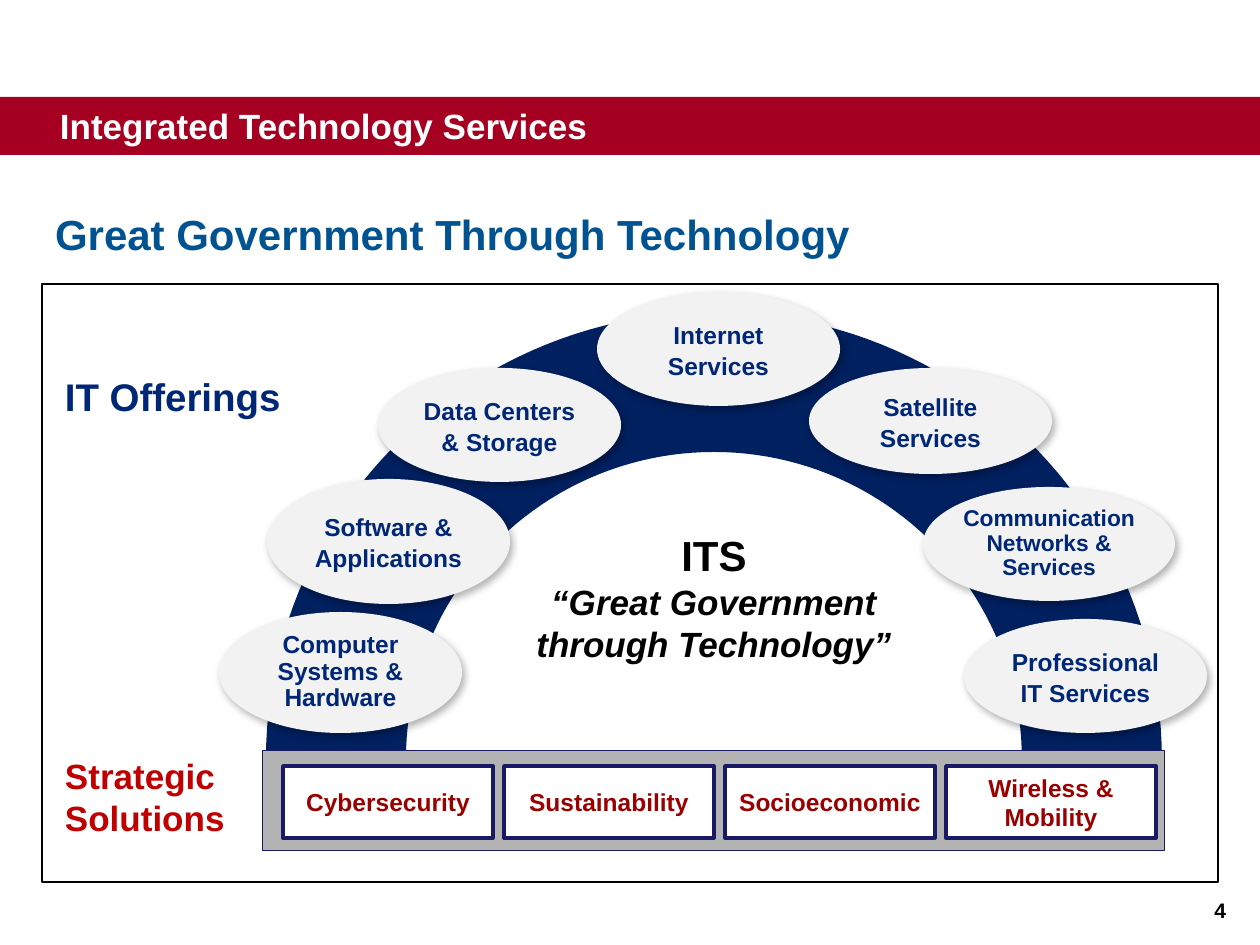
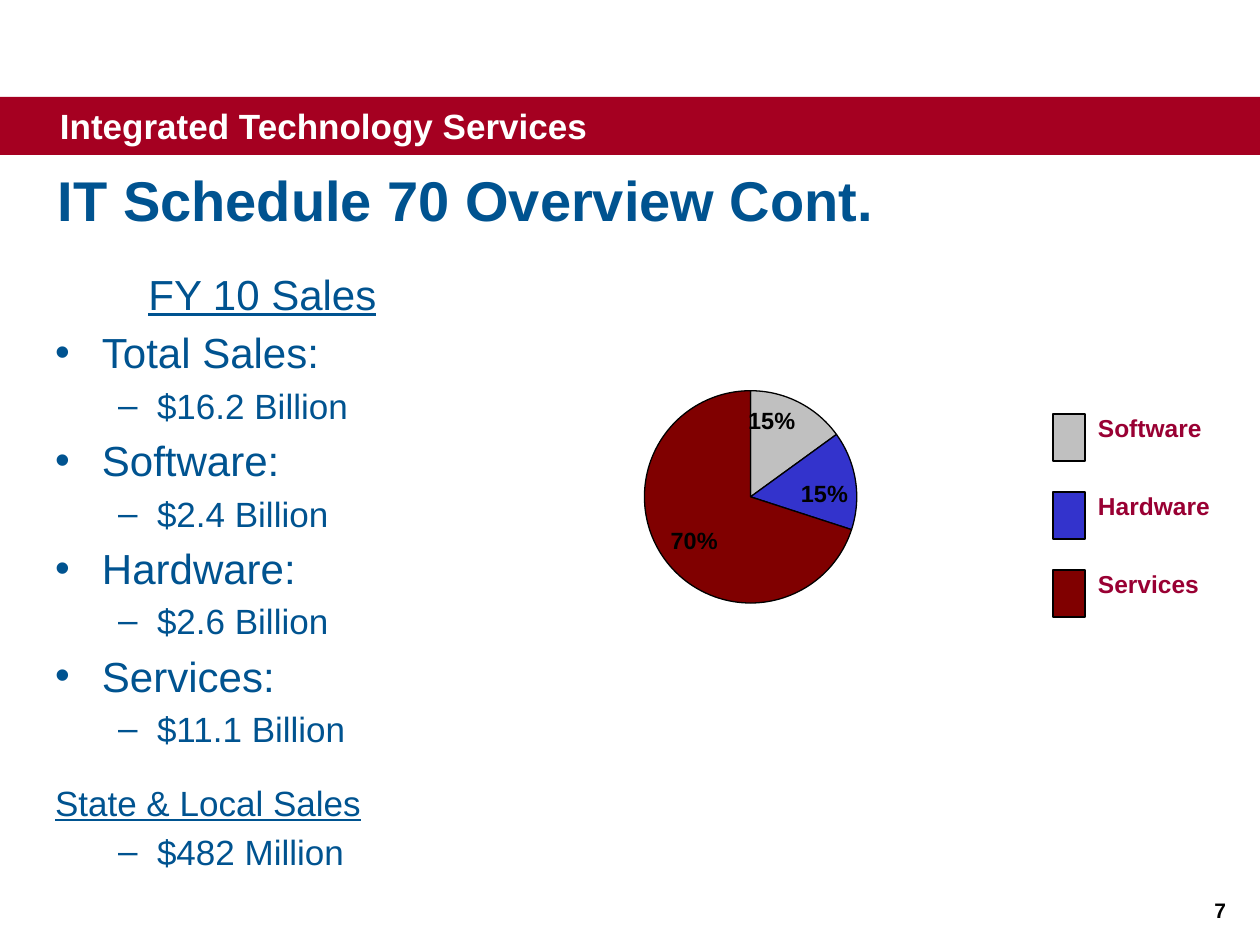
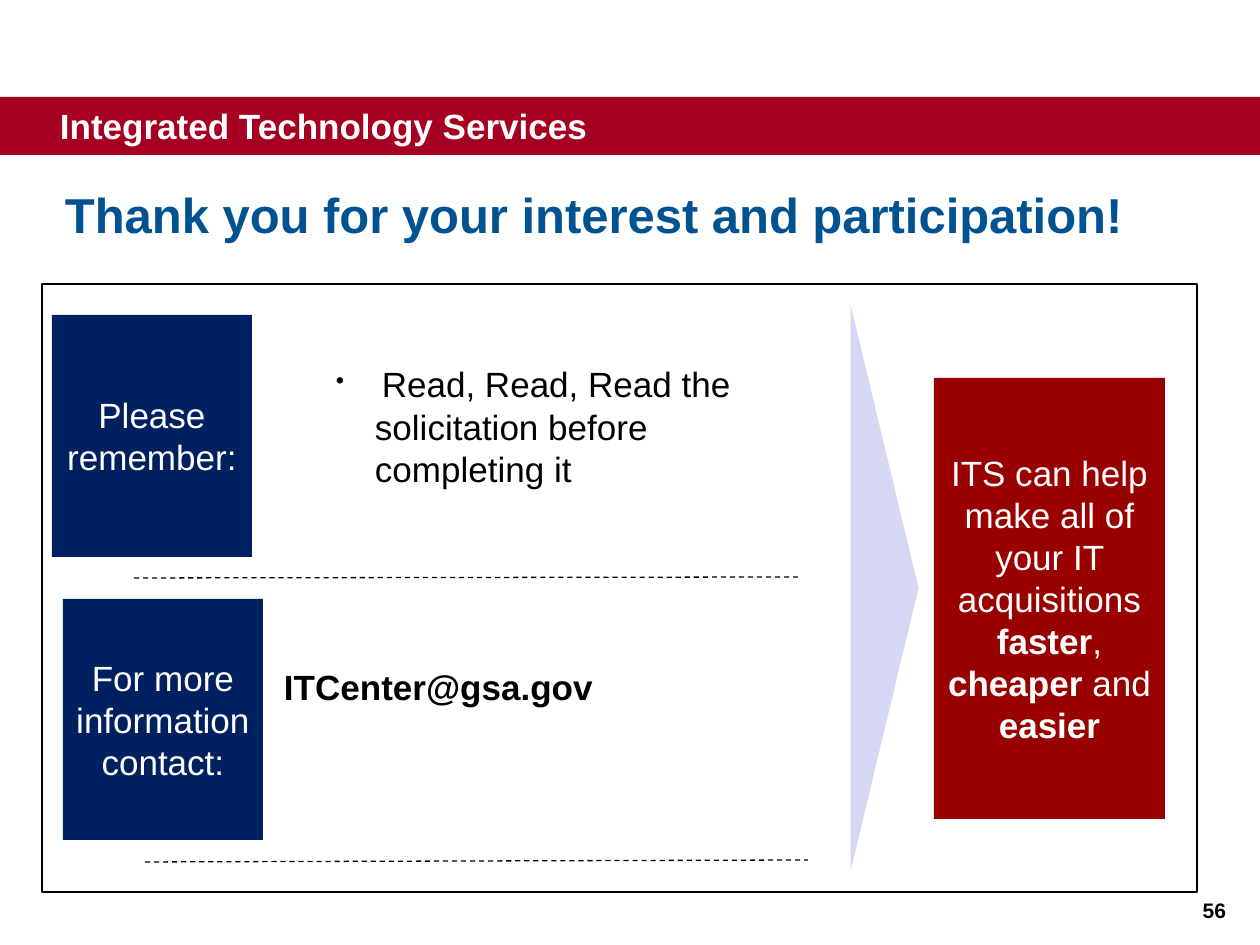
import math

from lxml import etree
from pptx import Presentation
from pptx.chart.data import CategoryChartData
from pptx.dml.color import RGBColor
from pptx.enum.chart import XL_CHART_TYPE, XL_LABEL_POSITION
from pptx.enum.dml import MSO_LINE
from pptx.enum.shapes import MSO_CONNECTOR, MSO_SHAPE
from pptx.enum.text import MSO_ANCHOR, MSO_AUTO_SIZE, PP_ALIGN
from pptx.oxml import parse_xml
from pptx.oxml.ns import nsdecls, qn
from pptx.util import Inches, Pt

EMU_PER_PX = Inches(1) / 126
FONT = "Arial"
UNIT = "Integrated Technology Services"

BLACK = RGBColor(0x00, 0x00, 0x00)
WHITE = RGBColor(0xFF, 0xFF, 0xFF)
BAND_RED = RGBColor(0xA5, 0x00, 0x21)
TITLE_BLUE = RGBColor(0x00, 0x53, 0x90)
NAVY = RGBColor(0x00, 0x20, 0x60)
OFFER_BLUE = RGBColor(0x00, 0x27, 0x76)
EDGE_BLUE = RGBColor(0x19, 0x19, 0x66)
PALE_GREY = RGBColor(0xF2, 0xF2, 0xF2)
BASE_GREY = RGBColor(0xB3, 0xB3, 0xB3)
DARK_RED = RGBColor(0x99, 0x00, 0x00)
LABEL_RED = RGBColor(0xC0, 0x00, 0x00)
LEGEND_RED = RGBColor(0x99, 0x00, 0x33)
LAVENDER = RGBColor(0xD6, 0xD6, 0xF5)
SLICE_GREY = RGBColor(0xC0, 0xC0, 0xC0)
SLICE_BLUE = RGBColor(0x33, 0x33, 0xCC)
SLICE_RED = RGBColor(0x80, 0x00, 0x00)

LEFT, CENTER, RIGHT = PP_ALIGN.LEFT, PP_ALIGN.CENTER, PP_ALIGN.RIGHT
TOP, MIDDLE = MSO_ANCHOR.TOP, MSO_ANCHOR.MIDDLE
RECTANGLE, OVAL = MSO_SHAPE.RECTANGLE, MSO_SHAPE.OVAL
TRIANGLE = MSO_SHAPE.ISOSCELES_TRIANGLE
TITLE_AND_BODY, TITLE_ONLY = 1, 5

SOFT_SHADOW = (
    f'<a:outerShdw {nsdecls("a")} blurRad="57150" dist="33020" dir="3180000"'
    ' algn="ctr" rotWithShape="0"><a:srgbClr val="000000">'
    '<a:alpha val="30000"/></a:srgbClr></a:outerShdw>'
)
PLOT_LAYOUT = {"layoutTarget": "inner", "xMode": "edge", "yMode": "edge",
               "x": "0.1", "y": "0.14", "w": "0.81", "h": "0.73"}


def px(length):
    return round(length * EMU_PER_PX)


def set_font(font, size, color, bold=False, italic=False, underline=False):
    font.name, font.size = FONT, Pt(size)
    font.color.rgb = color
    font.bold, font.italic, font.underline = bold, italic, underline


def set_bullet(para, mark, left=0, hang=0):
    """Give the paragraph a bullet mark and hanging indent; no mark means no bullet."""
    properties = para._p.get_or_add_pPr()
    properties.set("marL", str(px(left)))
    properties.set("indent", str(-px(hang)))
    bullet = etree.SubElement(properties, qn("a:buChar" if mark else "a:buNone"))
    if mark:
        bullet.set("char", mark)


class DeckBuilder:
    def __init__(self):
        self.deck = Presentation()
        self.deck.slide_width, self.deck.slide_height = Inches(10), Inches(7.5)
        self.page = None

    def start_page(self, layout, number, title, title_at, title_size):
        self.page = self.deck.slides.add_slide(self.deck.slide_layouts[layout])
        heading = self.page.shapes.title
        self.place(heading, title_at)
        self.fill_text(heading, title, title_size, TITLE_BLUE, bold=True, anchor=MIDDLE)
        band = self.shape(RECTANGLE, (0, 97, 1260, 58), BAND_RED)
        self.fill_text(band, UNIT, 20, WHITE, bold=True, anchor=MIDDLE,
                       margins=(60, 6, 13, 6))
        self.text((977, 892, 262, 35), str(number), 12, BLACK, bold=True, align=RIGHT)

    def place(self, box, at):
        box.left, box.top, box.width, box.height = map(px, at)

    def frame_style(self, box, anchor=TOP, margins=(13, 6, 13, 6), wrap=True):
        frame = box.text_frame
        frame.auto_size = MSO_AUTO_SIZE.NONE
        frame.word_wrap = wrap
        frame.vertical_anchor = anchor
        (frame.margin_left, frame.margin_top,
         frame.margin_right, frame.margin_bottom) = map(px, margins)
        return frame

    def fill_text(self, box, text, size, color, bold=False, align=LEFT, spacing=None,
                  **frame_options):
        frame = self.frame_style(box, **frame_options)
        frame.text = text
        for para in frame.paragraphs:
            para.alignment = align
            if spacing:
                para.line_spacing = spacing
            set_font(para.font, size, color, bold)
        return frame

    def text_box(self, at):
        return self.page.shapes.add_textbox(*map(px, at))

    def text(self, at, text, size, color, **options):
        return self.fill_text(self.text_box(at), text, size, color, **options)

    def outline(self, shape, fill=None, line=None, width=1.0):
        shape.shadow.inherit = False
        if fill is None:
            shape.fill.background()
        else:
            shape.fill.solid()
            shape.fill.fore_color.rgb = fill
        if line is None:
            shape.line.fill.background()
        else:
            shape.line.color.rgb = line
            shape.line.width = Pt(width)

    def shape(self, kind, at, fill=None, line=None, width=1.0):
        shape = self.page.shapes.add_shape(kind, *map(px, at))
        self.outline(shape, fill, line, width)
        return shape

    def bubble(self, at, text, size=14, spacing=1.06):
        oval = self.shape(OVAL, at, PALE_GREY)
        effects = oval._element.spPr.find(qn("a:effectLst"))
        effects.append(parse_xml(SOFT_SHADOW))
        self.fill_text(oval, text, size, OFFER_BLUE, bold=True, align=CENTER,
                       spacing=spacing, anchor=MIDDLE, margins=(3, 3, 3, 3))

    def arch(self, center_x, base_y, radius, thickness):
        points = [(px(center_x + radius * math.cos(math.radians(angle))),
                   px(base_y - radius * math.sin(math.radians(angle))))
                  for angle in range(180, -1, -2)]
        builder = self.page.shapes.build_freeform(*points[0])
        builder.add_line_segments(points[1:], close=False)
        self.outline(builder.convert_to_shape(), line=NAVY, width=thickness)

    def dashed_line(self, start, end):
        line = self.page.shapes.add_connector(
            MSO_CONNECTOR.STRAIGHT, *map(px, start + end))
        line.line.color.rgb = BLACK
        line.line.width = Pt(0.75)
        line.line.dash_style = MSO_LINE.DASH
        etree.SubElement(line._element.spPr, qn("a:effectLst"))

    def panel(self, at, text, fill):
        box = self.shape(RECTANGLE, at, fill)
        return self.fill_text(box, text, 20, WHITE, align=CENTER, anchor=MIDDLE)

    def pie(self, at, slices):
        """Draw slices given as (name, percent, colour)."""
        data = CategoryChartData()
        data.categories = [name for name, _, _ in slices]
        data.add_series("Series 1", [percent for _, percent, _ in slices])
        chart = self.page.shapes.add_chart(
            XL_CHART_TYPE.PIE, *map(px, at), data).chart
        chart.has_title = chart.has_legend = False
        set_font(chart.font, 8, BLACK, bold=True)
        plot = chart.plots[0]
        plot.vary_by_categories = False
        for index, (_, _, color) in enumerate(slices):
            style = plot.series[0].points[index].format
            style.fill.solid()
            style.fill.fore_color.rgb = color
            style.line.color.rgb = BLACK
            style.line.width = Pt(0.75)
        plot.has_data_labels = True
        labels = plot.data_labels
        labels.show_percentage, labels.show_value = True, False
        labels.number_format, labels.number_format_is_linked = "0%", False
        labels.position = XL_LABEL_POSITION.INSIDE_END
        set_font(labels.font, 13.4, BLACK, bold=True)

        area = chart._chartSpace.chart.plotArea
        for old in area.findall(qn("c:layout")):
            area.remove(old)
        layout = etree.Element(qn("c:layout"))
        manual = etree.SubElement(layout, qn("c:manualLayout"))
        for name, value in PLOT_LAYOUT.items():
            etree.SubElement(manual, qn(f"c:{name}")).set("val", value)
        area.insert(0, layout)

    def sales_list(self, at, lines):
        """Fill the body with (text, kind) lines; kind is a key of the styles below."""
        styles = {  # size, bullet, left, hang, space before, underline, alignment
            "heading": (24, "", 0, 0, 4.8, True, CENTER),
            "item": (24, "•", 47, 47, 4.8, False, LEFT),
            "amount": (20, "–", 102, 39, 4, False, LEFT),
            "subheading": (20, "", 0, 0, 18, True, LEFT),
        }
        body = self.page.placeholders[1]
        self.place(body, at)
        frame = self.frame_style(body)
        frame.text = "\n".join(text for text, _ in lines)
        for para, (_, kind) in zip(frame.paragraphs, lines):
            size, mark, left, hang, before, underline, align = styles[kind]
            para.alignment = align
            para.space_before = Pt(before)
            set_bullet(para, mark, left, hang)
            set_font(para.font, size, TITLE_BLUE, underline=underline)


def build_offerings(builder):
    builder.start_page(TITLE_ONLY, 4, "Great Government Through Technology",
                       (42, 183, 1197, 102), 24)
    builder.arch(714, 760, 378, 80)
    motto = builder.text((480, 520, 468, 154),
                         "ITS\n“Great Government\nthrough Technology”",
                         20, BLACK, bold=True, align=CENTER, anchor=MIDDLE)
    name, *quote = motto.paragraphs
    name.font.size = Pt(24)
    for para in quote:
        para.font.italic = True

    builder.bubble((219, 612, 243, 121), "Computer Systems & Hardware", spacing=0.9)
    builder.bubble((267, 479, 243, 125), "Software & Applications")
    builder.bubble((809, 368, 243, 106), "Satellite Services")
    builder.bubble((597, 292, 243, 114), "Internet Services")
    builder.bubble((378, 368, 243, 114), "Data Centers & Storage")
    builder.bubble((923, 487, 252, 114), "Communication Networks & Services",
                   size=13, spacing=0.9)
    builder.bubble((964, 619, 243, 114), "Professional IT Services")

    builder.shape(RECTANGLE, (262, 751, 902, 100), BASE_GREY, EDGE_BLUE, 0.5)
    solutions = ["Cybersecurity", "Sustainability", "Socioeconomic",
                 "Wireless &\nMobility"]
    for column, solution in enumerate(solutions):
        box = builder.shape(RECTANGLE, (283 + 221 * column, 766, 210, 72),
                            WHITE, EDGE_BLUE, 2)
        builder.fill_text(box, solution, 14, DARK_RED, bold=True, align=CENTER,
                          anchor=MIDDLE, margins=(6, 6, 6, 6))
    builder.text((52, 367, 305, 68), "IT Offerings", 22, OFFER_BLUE, bold=True)
    builder.text((52, 748, 294, 110), "Strategic\nSolutions", 20, LABEL_RED, bold=True)
    builder.shape(RECTANGLE, (42, 284, 1176, 598), line=BLACK, width=1.5)


def build_sales(builder):
    builder.start_page(TITLE_AND_BODY, 7, "IT Schedule 70 Overview Cont.",
                       (45, 140, 1208, 118), 32)
    builder.sales_list((42, 262, 441, 683), [
        ("FY 10 Sales", "heading"),
        ("Total Sales:", "item"), ("$16.2 Billion", "amount"),
        ("Software:", "item"), ("$2.4 Billion", "amount"),
        ("Hardware:", "item"), ("$2.6 Billion", "amount"),
        ("Services:", "item"), ("$11.1 Billion", "amount"),
        ("State & Local Sales", "subheading"), ("$482 Million", "amount"),
    ])
    slices = [("Software", 15, SLICE_GREY), ("Hardware", 15, SLICE_BLUE),
              ("Services", 70, SLICE_RED)]
    builder.pie((479, 350, 538, 291), slices)
    for row, (name, _, color) in enumerate(slices):
        top = 414 + 78 * row
        builder.shape(RECTANGLE, (1053, top, 32, 47), color, BLACK, 0.75)
        builder.text((1085, top - 7, 137, 53), name, 14, LEGEND_RED, bold=True,
                     wrap=False)


def build_thanks(builder):
    builder.start_page(TITLE_ONLY, 56, "Thank you for your interest and participation!",
                       (52, 158, 1113, 111), 28)
    promise = builder.panel((934, 378, 231, 441), "", DARK_RED).paragraphs[0]
    for text, bold in [("ITS can help make all of your IT acquisitions ", False),
                       ("faster", True), (", ", False), ("cheaper", True),
                       (" and ", False), ("easier", True)]:
        span = promise.add_run()
        span.text = text
        span.font.bold = bold

    arrow = builder.shape(TRIANGLE, (601, 554, 567, 68), LAVENDER)
    arrow.rotation = 90

    reminder = builder.frame_style(builder.text_box((273, 294, 536, 264)),
                                   anchor=MIDDLE, margins=(0, 6, 0, 6)).paragraphs[0]
    set_bullet(reminder, "•", 102, 39)
    set_font(reminder.font, 20, BLACK)
    lead = reminder.add_run()
    lead.text = " "
    lead.font.size = Pt(14)
    reminder.add_run().text = "Read, Read, Read the solicitation before completing it"
    builder.text((284, 577, 536, 219), "ITCenter@gsa.gov", 20, BLACK, bold=True,
                 anchor=MIDDLE, margins=(0, 6, 0, 6))

    builder.dashed_line((134, 578), (798, 577))
    builder.dashed_line((145, 862), (808, 860))
    builder.panel((52, 315, 200, 242), "Please remember:", NAVY)
    builder.panel((63, 599, 200, 241), "For more information contact:", NAVY)
    builder.shape(RECTANGLE, (42, 284, 1155, 608), line=BLACK, width=1.5)


def main():
    builder = DeckBuilder()
    build_offerings(builder)
    build_sales(builder)
    build_thanks(builder)
    builder.deck.save("out.pptx")


if __name__ == "__main__":
    main()
